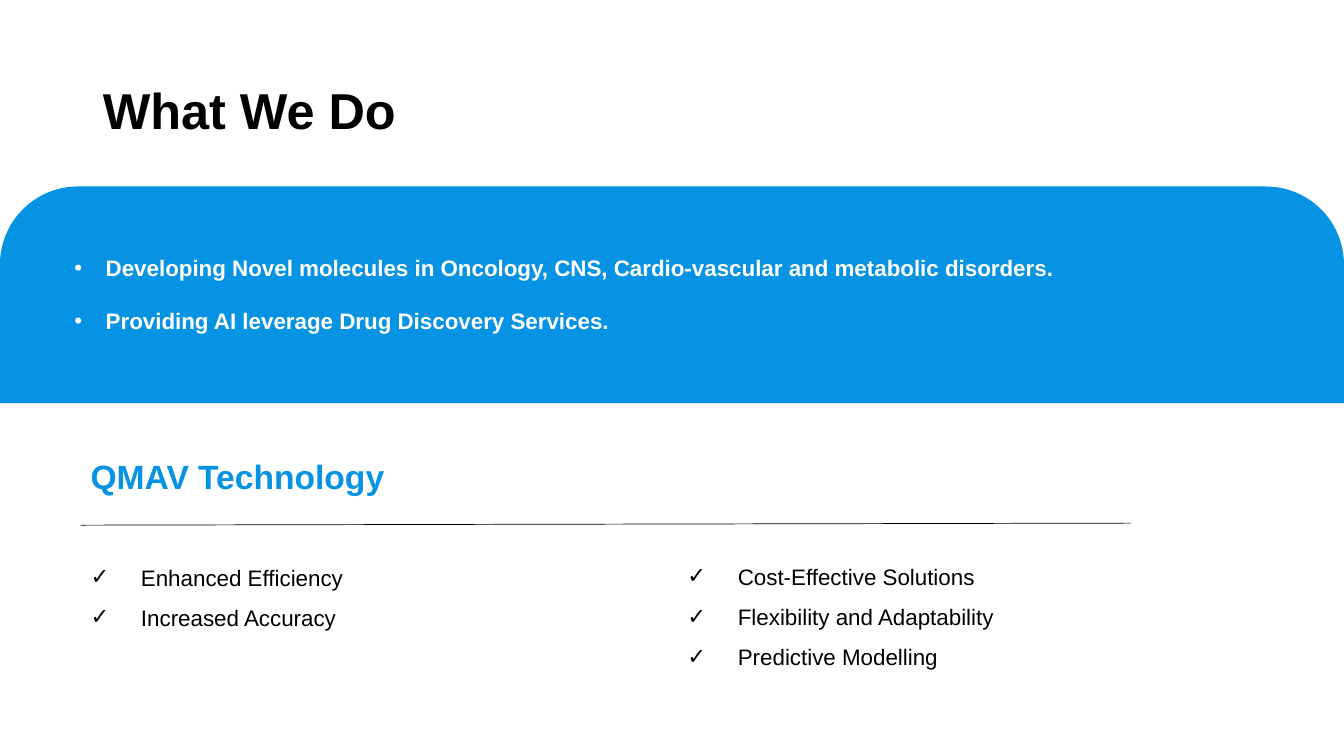
import pptx
import pptx.dml.color
import pptx.enum.shapes
import pptx.enum.text
import pptx.oxml
import pptx.oxml.xmlchemy
import pptx.util

Inches = pptx.util.Inches
Pt = pptx.util.Pt
COLORS = {"blue": "0693E3", "black": "000000", "white": "FFFFFF"}


class SlideBuilder:
    """Holds the shared style and the current slide."""

    font_name = "Arial"

    def __init__(self, slide):
        self.slide = slide

    def color(self, name):
        return pptx.dml.color.RGBColor.from_string(COLORS[name])

    def add_words(self, paragraph, text, size, color, bold=False):
        run = paragraph.add_run()
        run.text = text
        run.font.name = self.font_name
        run.font.size = Pt(size)
        run.font.bold = bold
        run.font.color.rgb = self.color(color)

    def title(self, text, left, top, width, height):
        heading = self.slide.shapes.title
        heading.left, heading.top = Inches(left), Inches(top)
        heading.width, heading.height = Inches(width), Inches(height)
        heading.text_frame.vertical_anchor = pptx.enum.text.MSO_ANCHOR.MIDDLE
        paragraph = heading.text_frame.paragraphs[0]
        paragraph.alignment = pptx.enum.text.PP_ALIGN.LEFT
        paragraph.line_spacing = 0.9
        self.add_words(paragraph, text, 36, "black", True)

    def text(self, lines, left, top, width, height, size, color, bold=False,
             bullet=None, indent=0, line_spacing=1.0, gap=0):
        box = self.slide.shapes.add_textbox(
            Inches(left), Inches(top), Inches(width), Inches(height))
        frame = box.text_frame
        frame.word_wrap = True
        for index, line in enumerate(lines):
            paragraph = frame.add_paragraph() if index else frame.paragraphs[0]
            if bullet:
                self.bullet(paragraph, bullet, indent)
            paragraph.line_spacing = line_spacing
            if index and gap:
                paragraph.space_before = Pt(gap)
            self.add_words(paragraph, line, size, color, bold)

    def bullet(self, paragraph, char, indent):
        properties = paragraph._p.get_or_add_pPr()
        properties.set("marL", str(Inches(indent)))
        properties.set("indent", str(-Inches(indent)))
        for tag, attribute, value in (("a:buFont", "typeface", self.font_name),
                                      ("a:buChar", "char", char)):
            element = pptx.oxml.xmlchemy.OxmlElement(tag)
            element.set(attribute, value)
            properties.append(element)

    def band(self, left, top, width, height, rounding):
        panel = self.slide.shapes.add_shape(
            pptx.enum.shapes.MSO_SHAPE.ROUND_2_SAME_RECTANGLE,
            Inches(left), Inches(top), Inches(width), Inches(height))
        panel.adjustments[0] = rounding
        panel.adjustments[1] = 0
        panel.shadow.inherit = False
        panel.fill.solid()
        panel.fill.fore_color.rgb = self.color("blue")
        panel.line.fill.background()

    def rule(self, start_x, start_y, end_x, end_y):
        divider = self.slide.shapes.add_connector(
            pptx.enum.shapes.MSO_CONNECTOR.STRAIGHT,
            Inches(start_x), Inches(start_y), Inches(end_x), Inches(end_y))
        divider.line.color.rgb = self.color("black")
        divider.line.width = Pt(0.5)
        divider._element.spPr.append(
            pptx.oxml.xmlchemy.OxmlElement("a:effectLst"))


def main():
    deck = pptx.Presentation()
    deck.slide_width, deck.slide_height = Inches(13.33), Inches(7.5)
    builder = SlideBuilder(deck.slides.add_slide(deck.slide_layouts[5]))

    builder.title("What We Do", 0.92, 0.4, 11.5, 1.45)
    builder.band(0, 1.85, 13.33, 2.15, 0.36)
    activities = [
        "Developing Novel molecules in Oncology, CNS, Cardio-vascular and metabolic disorders.",
        "Providing AI leverage Drug Discovery Services.",
    ]
    builder.text(activities, 0.64, 2.47, 12.15, 0.91, 16, "white", True,
                 bullet="•", indent=0.31, gap=19)

    builder.text(["QMAV Technology"], 0.8, 4.47, 6.32, 0.5, 24, "blue", True)
    builder.rule(0.8, 5.21, 11.22, 5.19)
    benefit_columns = [
        (0.8, 5.41, 4.07, 0.86, ["Enhanced Efficiency", "Increased Accuracy"]),
        (6.72, 5.4, 4.76, 1.31, ["Cost-Effective Solutions",
                                 "Flexibility and Adaptability",
                                 "Predictive Modelling"]),
    ]
    for left, top, width, height, benefits in benefit_columns:
        builder.text(benefits, left, top, width, height, 16, "black",
                     bullet="✓", indent=0.5, line_spacing=1.5)

    deck.save("out.pptx")


if __name__ == "__main__":
    main()
